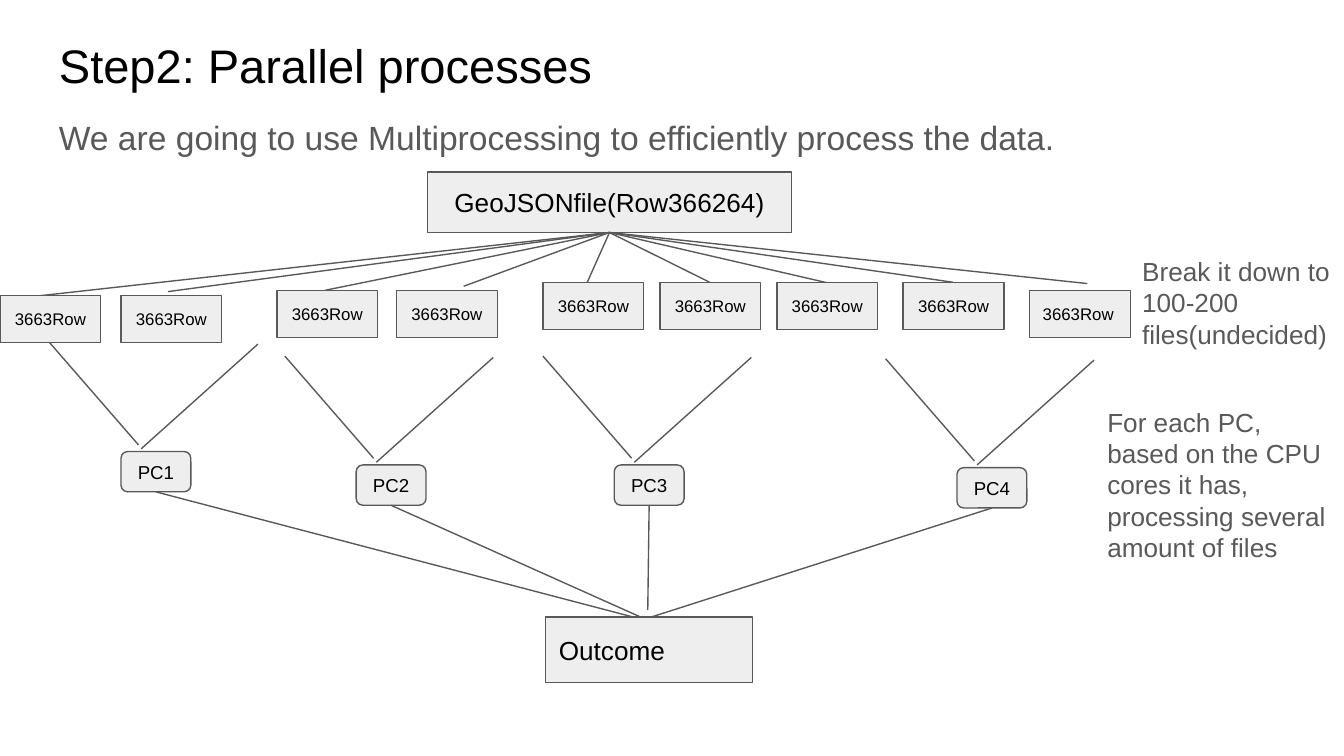
from lxml.etree import SubElement
from pptx import Presentation
from pptx.dml.color import RGBColor
from pptx.enum.shapes import MSO_CONNECTOR, MSO_SHAPE
from pptx.enum.text import MSO_ANCHOR, PP_ALIGN
from pptx.oxml.ns import qn
from pptx.util import Emu, Pt

PX = 9144  # 100 px to the inch
SLIDE_W = 1000
SLIDE_H = SLIDE_W * 9 / 16
INSET = 10

THEME = {
    "font": "Arial",
    "ink": RGBColor(0, 0, 0),
    "grey": RGBColor(0x59, 0x59, 0x59),
    "fill": RGBColor(0xEE, 0xEE, 0xEE),
    "line": Pt(0.75),
    "title": Pt(25.2),
    "lead": Pt(18),
    "body": Pt(14),
    "pc": Pt(10),
    "row": Pt(9),
}

# (text, box, size, colour, line spacing)
TEXTS = [
    ("Step2: Parallel processes", (34, 17, 932, 63), "title", "ink", 1),
    ("We are going to use Multiprocessing to efficiently process the data.",
     (34, 79, 932, 49), "lead", "grey", 0.95),
    ("Break it down to 100-200 files(undecided)",
     (840, 180, 164, 91), "body", "grey", 1),
    ("For each PC, based on the CPU cores it has, processing several amount of files",
     (814, 292, 188, 138), "body", "grey", 1),
]

SOURCE = ("GeoJSONfile(Row366264)", (318, 128, 271, 45))
OUTCOME = ("Outcome", (406, 459, 154, 49))

ROW_TEXT, ROW_SIZE = "3663Row", (75, 35)
# (box left, box top, end of the line from the source, alignment)
ROWS = [
    (0, 220, (30, 220), PP_ALIGN.CENTER),
    (90, 220, (125, 217), PP_ALIGN.CENTER),
    (206, 216, (242, 216), PP_ALIGN.CENTER),
    (295, 216, (345, 213), PP_ALIGN.CENTER),
    (404, 210, (437, 210), PP_ALIGN.CENTER),
    (491, 210, (528, 210), PP_ALIGN.CENTER),
    (578, 210, (618, 211), PP_ALIGN.CENTER),
    (672, 210, (709, 210), PP_ALIGN.CENTER),
    (766, 216, (809, 211), PP_ALIGN.LEFT),
]

PC_SIZE = (52, 30)
# (name, box left, box top, end of the line to the outcome)
PCS = [
    ("PC1", 90, 336, (482, 462)),
    ("PC2", 265, 346, (483, 462)),
    ("PC3", 457, 346, (482, 454)),
    ("PC4", 712, 348, (485, 459)),
]
# Lines into each PC, measured from the corner of its box
FUNNEL = [((-53, -81), (13, -5)), ((102, -80), (15, -2))]


def emu(values):
    return [Emu(int(v * PX)) for v in values]


def bottom_centre(box):
    x, y, w, h = box
    return x + w / 2, y + h


def write(sp, text, size, colour, align=PP_ALIGN.LEFT, anchor=MSO_ANCHOR.TOP, spacing=1):
    tf = sp.text_frame
    frame = {"word_wrap": True, "vertical_anchor": anchor}
    frame.update({f"margin_{side}": Emu(INSET * PX)
                  for side in ("left", "top", "right", "bottom")})
    for name, value in frame.items():
        setattr(tf, name, value)
    p = tf.paragraphs[0]
    p.alignment, p.line_spacing = align, spacing
    r = p.add_run()
    r.text = text
    r.font.name, r.font.size = THEME["font"], THEME[size]
    r.font.color.rgb = THEME[colour]


def add_box(s, text, box, size, align=PP_ALIGN.CENTER, kind=MSO_SHAPE.RECTANGLE):
    sp = s.shapes.add_shape(kind, *emu(box))
    sp.shadow.inherit = False
    sp.fill.solid()
    sp.fill.fore_color.rgb = THEME["fill"]
    sp.line.color.rgb, sp.line.width = THEME["grey"], THEME["line"]
    write(sp, text, size, "ink", align, MSO_ANCHOR.MIDDLE)


def add_line(s, start, end):
    line = s.shapes.add_connector(MSO_CONNECTOR.STRAIGHT, *emu((*start, *end)))
    line.line.color.rgb, line.line.width = THEME["grey"], THEME["line"]
    SubElement(line._element.spPr, qn("a:effectLst"))


def main():
    prs = Presentation()
    prs.slide_width, prs.slide_height = emu((SLIDE_W, SLIDE_H))
    s = prs.slides.add_slide(prs.slide_layouts[6])

    for text, box, size, colour, spacing in TEXTS:
        write(s.shapes.add_textbox(*emu(box)), text, size, colour, spacing=spacing)

    add_box(s, *SOURCE, "body")
    for x, y, end, align in ROWS:
        add_line(s, bottom_centre(SOURCE[1]), end)
        add_box(s, ROW_TEXT, (x, y, *ROW_SIZE), "row", align)

    for name, x, y, end in PCS:
        box = (x, y, *PC_SIZE)
        for (x1, y1), (x2, y2) in FUNNEL:
            add_line(s, (x + x1, y + y1), (x + x2, y + y2))
        add_box(s, name, box, "pc", kind=MSO_SHAPE.ROUNDED_RECTANGLE)
        add_line(s, bottom_centre(box), end)
    add_box(s, *OUTCOME, "body", PP_ALIGN.LEFT)

    prs.save("out.pptx")


if __name__ == "__main__":
    main()
